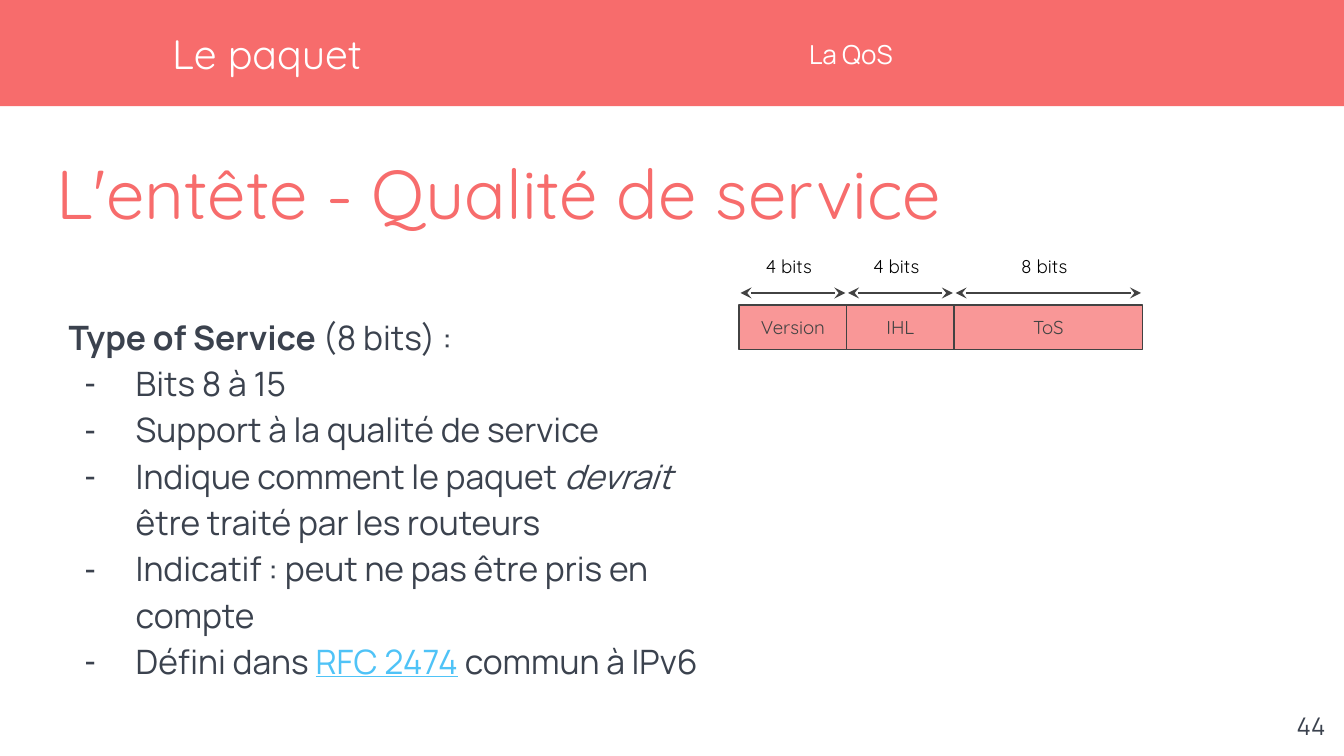
from lxml import etree
from pptx import Presentation
from pptx.dml.color import RGBColor
from pptx.enum import shapes, text
from pptx.oxml.ns import qn
from pptx.util import Inches, Pt

CORAL = RGBColor(0xF7, 0x6C, 0x6C)
LIGHT_CORAL = RGBColor(0xF9, 0x97, 0x97)
SLATE = RGBColor(0x3B, 0x42, 0x4E)
GREY = RGBColor(0x42, 0x42, 0x42)
SKY = RGBColor(0x4F, 0xC3, 0xF7)
WHITE = RGBColor(0xFF, 0xFF, 0xFF)
BLACK = RGBColor(0, 0, 0)
HEADING, BODY = "Quicksand", "Manrope"
LEFT, CENTER, RIGHT = text.PP_ALIGN.LEFT, text.PP_ALIGN.CENTER, text.PP_ALIGN.RIGHT
TOP, MIDDLE = text.MSO_ANCHOR.TOP, text.MSO_ANCHOR.MIDDLE


def set_frame(shape, anchor, inset=0):
    frame = shape.text_frame
    frame.word_wrap = True
    frame.auto_size = text.MSO_AUTO_SIZE.NONE
    frame.vertical_anchor = anchor
    frame.margin_left = frame.margin_right = Inches(inset)
    frame.margin_top = frame.margin_bottom = Inches(inset)
    return frame


def style(paragraph, font, size, color, align=LEFT):
    paragraph.alignment = align
    paragraph.font.name = font
    paragraph.font.size = Pt(size)
    paragraph.font.color.rgb = color


def write(shape, words, font, size, color, align=LEFT, anchor=TOP, inset=0):
    frame = set_frame(shape, anchor, inset)
    frame.text = words
    style(frame.paragraphs[0], font, size, color, align)


def place(shape, *box):
    shape.left, shape.top, shape.width, shape.height = map(Inches, box)
    return shape


def add_text(slide, box, *args, **kwargs):
    write(slide.shapes.add_textbox(*map(Inches, box)), *args, **kwargs)


def add_rectangle(slide, box, fill, line=None):
    rectangle = slide.shapes.add_shape(shapes.MSO_SHAPE.RECTANGLE, *map(Inches, box))
    rectangle.shadow.inherit = False
    rectangle.fill.solid()
    rectangle.fill.fore_color.rgb = fill
    if line is None:
        rectangle.line.fill.background()
    else:
        rectangle.line.color.rgb = line
        rectangle.line.width = Pt(0.75)
    return rectangle


def add_double_arrow(slide, left, right, y):
    arrow = slide.shapes.add_connector(
        shapes.MSO_CONNECTOR.STRAIGHT, Inches(left), Inches(y), Inches(right), Inches(y))
    arrow.line.color.rgb = GREY
    arrow.line.width = Pt(0.75)
    line = arrow.line._get_or_add_ln()
    for end in ("a:headEnd", "a:tailEnd"):
        etree.SubElement(line, qn(end), type="stealth")
    etree.SubElement(arrow._element.spPr, qn("a:effectLst"))


def set_bullet(paragraph, char=None):
    """Hanging bullet, or a flush paragraph when no character is given."""
    props = paragraph._p.get_or_add_pPr()
    props.set("marL", str(Inches(0.5 if char else 0)))
    props.set("indent", str(Inches(-0.38 if char else 0)))
    if char:
        color = etree.SubElement(props, qn("a:buClr"))
        etree.SubElement(color, qn("a:srgbClr"), val=str(SLATE))
        etree.SubElement(props, qn("a:buChar"), char=char)
    else:
        etree.SubElement(props, qn("a:buNone"))


def add_header(slide, left, top, width, height):
    """Coloured band with chapter and section names."""
    add_rectangle(slide, (left, top, width, height), CORAL)
    add_text(slide, (left + 1.3, top, 4.69, height), "Le paquet",
             HEADING, 22, WHITE, anchor=MIDDLE)
    add_text(slide, (left + 6.04, top + 0.21, 3.84, 0.39), "La QoS",
             BODY, 14, WHITE, anchor=MIDDLE)


def fill_body(body):
    """Lead line followed by the dash list; each run is (words, emphasis)."""
    paragraphs = [
        [("Type of Service", "bold"), (" (8 bits) :", None)],
        [("Bits 8 à 15", None)],
        [("Support à la qualité de service", None)],
        [("Indique comment le paquet ", None), ("devrait", "italic"),
         (" être traité par les routeurs", None)],
        [("Indicatif : peut ne pas être pris en compte", None)],
        [("Défini dans ", None), ("RFC 2474", "underline"), (" commun à IPv6", None)],
    ]
    frame = set_frame(body, MIDDLE)
    for index, runs in enumerate(paragraphs):
        paragraph = frame.add_paragraph() if index else frame.paragraphs[0]
        style(paragraph, BODY, 18, SLATE)
        paragraph.line_spacing = 1.15
        paragraph.space_before = Pt(0)
        set_bullet(paragraph, "-" if index else None)
        for words, emphasis in runs:
            run = paragraph.add_run()
            run.text = words
            if emphasis:
                setattr(run.font, emphasis, True)
            if emphasis == "underline":
                run.font.color.rgb = SKY


def add_packet_fields(slide, left, top):
    """Header fields side by side, each with its bit count and extent arrow."""
    label_width = 0.6
    for name, bits, width in [("Version", 4, 0.8), ("IHL", 4, 0.8), ("ToS", 8, 1.4)]:
        field = add_rectangle(slide, (left, top + 0.47, width, 0.33), LIGHT_CORAL, GREY)
        write(field, name, HEADING, 10, GREY, CENTER, MIDDLE, 0.1)
        add_double_arrow(slide, left + 0.01, left + width - 0.01, top + 0.38)
        add_text(slide, (left + (width - label_width) / 2, top, label_width, 0.37),
                 f"{bits} bits", HEADING, 10, BLACK, inset=0.1)
        left += width


def main():
    deck = Presentation()
    deck.slide_width = Inches(10)
    deck.slide_height = deck.slide_width * 9 // 16
    slide = deck.slides.add_slide(deck.slide_layouts[1])

    add_header(slide, -0.02, 0, 10.04, 0.79)

    # Title and list
    title = place(slide.shapes.title, 0.42, 1.12, 9.26, 0.58)
    write(title, "L'entête - Qualité de service", HEADING, 37, CORAL)
    fill_body(place(slide.placeholders[1], 0.51, 1.94, 5, 3.5))

    add_packet_fields(slide, 5.5, 1.8)

    # Page number
    add_text(slide, (9.36, 5.19, 0.6, 0.43), "44", BODY, 13, SLATE, RIGHT, inset=0.1)

    deck.save("out.pptx")


if __name__ == "__main__":
    main()
